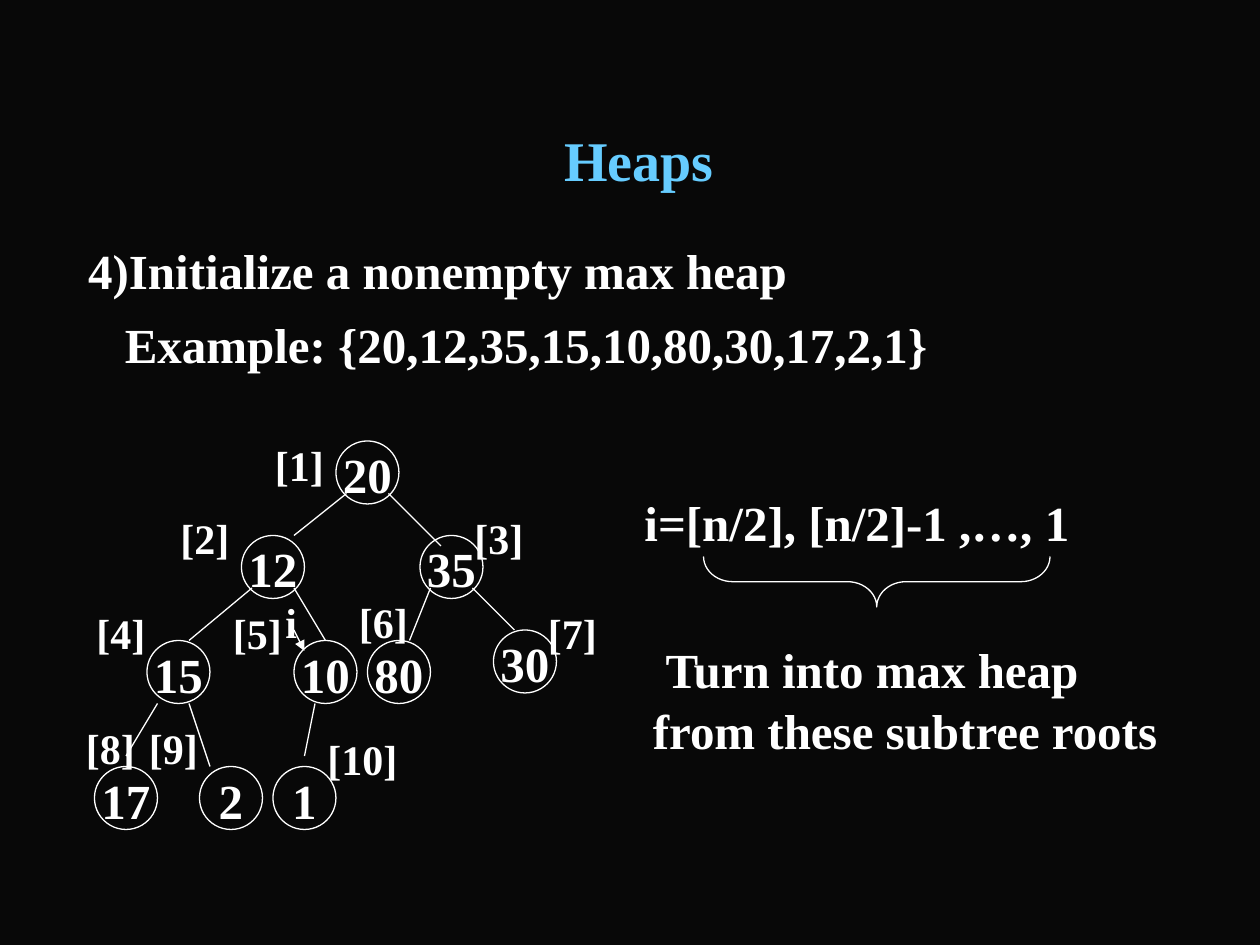
from dataclasses import dataclass
from lxml.etree import SubElement
from pptx import Presentation
from pptx.dml.color import RGBColor
from pptx.enum.shapes import MSO_CONNECTOR, MSO_SHAPE
from pptx.enum.text import MSO_ANCHOR, PP_ALIGN
from pptx.oxml.ns import qn
from pptx.util import Inches, Pt


@dataclass(frozen=True)
class Theme:
    back: RGBColor = RGBColor(0x08, 0x08, 0x08)
    ink: RGBColor = RGBColor(0xFF, 0xFF, 0xFF)
    head: RGBColor = RGBColor(0x66, 0xCC, 0xFF)
    face: str = "Times New Roman"
    title: int = 32
    body: int = 28
    label: int = 24
    line: float = 0.75
    lead: float = 1.05


THEME = Theme()

# Content: every place is a column and row of a grid, 12 cells to the inch
TITLE = "Heaps"
BODY = [  # text, left indent in inches
    ("4)Initialize a nonempty max heap", 0.1),
    ("Example: {20,12,35,15,10,80,30,17,2,1}", 0.39),
]
NODES = [  # value, column, row
    ("20", 32, 42), ("12", 23, 51), ("35", 40, 51), ("15", 14, 61),
    ("10", 28, 61), ("80", 35, 61), ("30", 47, 60), ("17", 9, 73),
    ("2", 19, 73), ("1", 26, 73),
]
EDGES = [  # from column, row, to column, row
    (33, 47, 28, 51), (24, 56, 18, 61), (15, 67, 12, 72),
    (18, 67, 20, 73), (30, 67, 29, 72), (28, 56, 31, 61),
    (37, 47, 42, 52), (41, 56, 39, 61), (45, 56, 49, 60),
]
POINTER = (28, 60, 29, 62)
LABELS = [  # text, column, row, width
    ("[1]", 25, 41, 9), ("[2]", 16, 48, 10), ("[3]", 44, 48, 8),
    ("[4]", 8, 57, 10), ("[5]", 21, 57, 10), ("[6]", 33, 56, 8),
    ("[7]", 51, 57, 8), ("i", 26, 56, 3), ("[8]", 7, 68, 8),
    ("[9]", 13, 68, 13), ("[10]", 30, 69, 10),
]
NOTES = [  # text, box, left indent, first-line indent
    ("i=[n/2], [n/2]-1 ,…, 1", (59, 46, 52.5, 6.8), 0.1, 0),
    ("Turn into max heap from these subtree roots",
     (61, 60, 52, 12.5), 0, 0.1),
]
BRACE = (81.1, 38.9, 4.8, 33)
NODE, ROW = 6, 6


def grid(*cells):
    return [Inches(cell / 12) for cell in cells]


def place(shape, *cells):
    shape.left, shape.top, shape.width, shape.height = grid(*cells)


def style(para, size, color=THEME.ink):
    para.line_spacing = THEME.lead
    font = para.font
    font.name, font.size, font.bold = THEME.face, Pt(size), True
    font.color.rgb = color


def indent(para, left, first=0):
    props = para._p.get_or_add_pPr()
    props.set("marL", str(Inches(left)))
    props.set("indent", str(Inches(first)))


def write(slide, text, box, size):
    frame = slide.shapes.add_textbox(*grid(*box)).text_frame
    frame.word_wrap = True
    para = frame.paragraphs[0]
    para.text = text
    style(para, size)
    return para


def outline(slide, kind, box):
    shape = slide.shapes.add_shape(kind, *grid(*box))
    shape.shadow.inherit = False
    shape.fill.background()
    shape.line.color.rgb = THEME.ink
    shape.line.width = Pt(THEME.line)
    return shape


def link(slide, ends, arrow=False):
    line = slide.shapes.add_connector(MSO_CONNECTOR.STRAIGHT, *grid(*ends))
    line.line.color.rgb = THEME.ink
    line.line.width = Pt(THEME.line)
    if arrow:
        SubElement(line.line._get_or_add_ln(), qn("a:tailEnd"), type="triangle")
    SubElement(line._element.spPr, qn("a:effectLst"))


def main():
    deck = Presentation()
    deck.slide_width, deck.slide_height = Inches(10), Inches(7.5)
    slide = deck.slides.add_slide(deck.slide_layouts[1])
    slide.background.fill.solid()
    slide.background.fill.fore_color.rgb = THEME.back

    # Title
    title = slide.shapes.title
    place(title, 9, 8, 102, 11.6)
    frame = title.text_frame
    frame.text = TITLE
    frame.vertical_anchor = MSO_ANCHOR.MIDDLE
    frame.margin_left, frame.margin_top = Inches(0.24), Inches(0.25)
    style(frame.paragraphs[0], THEME.title, THEME.head)

    # Body lines
    body = slide.placeholders[1]
    place(body, 6, 22, 109, 65)
    frame = body.text_frame
    frame.text = "\n".join(text for text, _ in BODY)
    for num, (para, (_, left)) in enumerate(zip(frame.paragraphs, BODY)):
        indent(para, left)
        SubElement(para._p.get_or_add_pPr(), qn("a:buNone"))
        para.space_before = Pt(7 if num else 0)
        style(para, THEME.body)

    # Tree
    for value, col, row in NODES:
        node = outline(slide, MSO_SHAPE.OVAL, (col, row, NODE, NODE))
        frame = node.text_frame
        frame.word_wrap = False
        frame.vertical_anchor = MSO_ANCHOR.MIDDLE
        para = frame.paragraphs[0]
        para.text, para.alignment = value, PP_ALIGN.CENTER
        style(para, THEME.body)
    for ends in EDGES:
        link(slide, ends)
    for text, col, row, wide in LABELS:
        write(slide, text, (col, row, wide, ROW), THEME.label)
    link(slide, POINTER, arrow=True)

    # Loop range and its brace
    for text, box, left, first in NOTES:
        indent(write(slide, text, box, THEME.body), left, first)
    brace = outline(slide, MSO_SHAPE.LEFT_BRACE, BRACE)
    brace.rotation = 270
    brace.adjustments[0] = 0.58

    deck.save("out.pptx")


if __name__ == "__main__":
    main()
